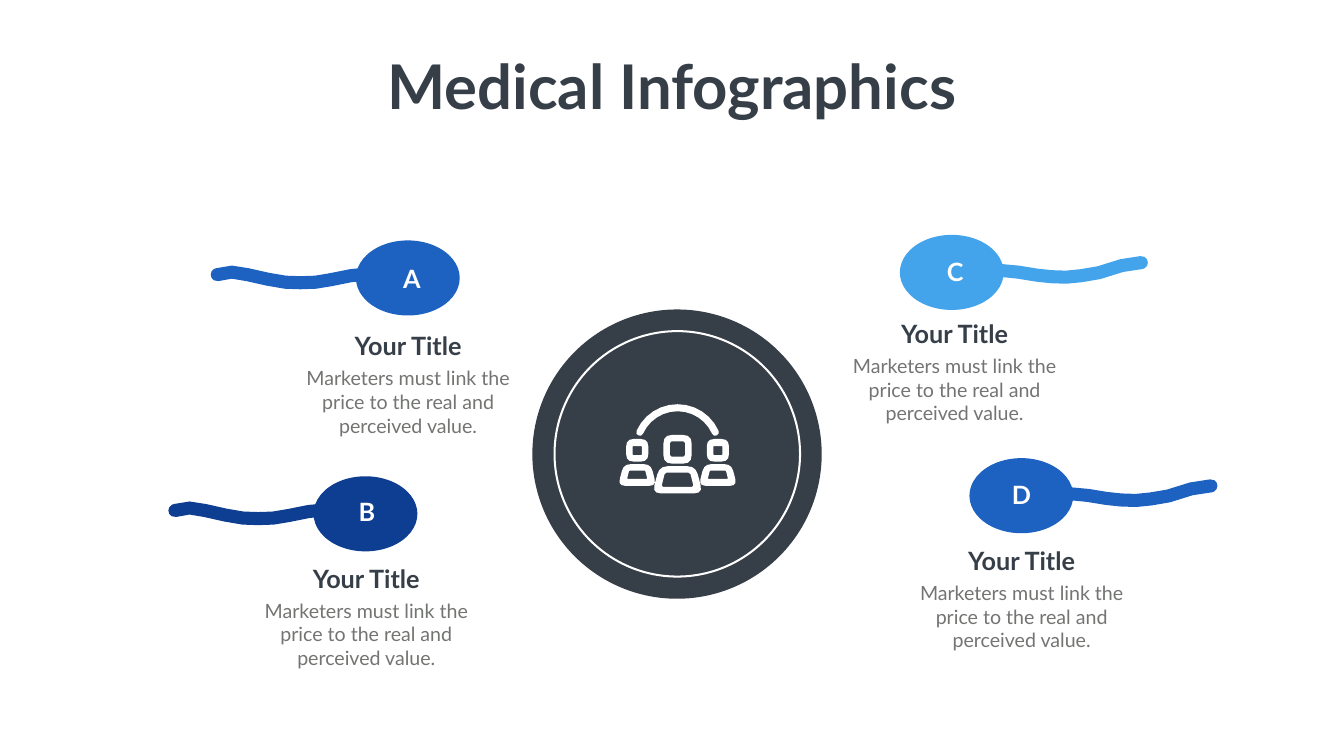
import math
from pptx import Presentation
from pptx.dml.color import RGBColor
from pptx.enum import shapes, text
from pptx.util import Inches, Pt

THEME = {
    "font": "Lato",
    "dark": "363E48", "grey": "737572", "white": "FFFFFF",
    "blue": "1D62C1", "navy": "0D3E91", "sky": "43A4EC",
    "title": 88, "heading": 36, "body": 28, "ring": 2.89,
}

TITLE = "Medical Infographics"
HEADING = "Your Title"
BODY = "Marketers must link the price to the real and perceived value."

ITEMS = [
    {"letter": "A", "color": "blue", "side": "left", "cell": (7.06, 4.77),
     "letter_at": (7.47, 5.17), "heading_at": (6.31, 6.51)},
    {"letter": "B", "color": "navy", "side": "left", "cell": (6.22, 9.45),
     "letter_at": (6.58, 9.8), "heading_at": (5.48, 11.12)},
    {"letter": "C", "color": "sky", "side": "right", "cell": (17.85, 4.66),
     "letter_at": (18.25, 5.03), "heading_at": (17.15, 6.27)},
    {"letter": "D", "color": "blue", "side": "right", "cell": (19.23, 9.09),
     "letter_at": (19.56, 9.47), "heading_at": (18.48, 10.77)},
]
CELL_SIZE = (2.06, 1.49)

TAIL_HALF = 0.13
TAILS = {
    "left": [(-2.75, 0.68), (-2.46, 0.63), (-2.15, 0.68), (-1.75, 0.77),
             (-1.4, 0.83), (-1.1, 0.84), (-0.8, 0.83), (-0.5, 0.78),
             (-0.1, 0.7), (0.3, 0.66)],
    "right": [(1.77, 0.78), (2.04, 0.71), (2.35, 0.74), (2.72, 0.8),
              (3, 0.83), (3.3, 0.84), (3.6, 0.81), (3.95, 0.75),
              (4.4, 0.61), (4.79, 0.55)],
}

ICON_X = 13.44
SIDE_OFFSET = 0.8
LEADER = [
    [(8.63, 9.2, 0.28, 0.28, 0.17), (8.76, 9.06, 0.15, 0.15, 0.03)],
    [(9.25, 9.79, 0.36, 0.5, 0.17), (9.38, 9.66, 0.25, 0.32, 0.03)],
]
MEMBER = [
    [(8.71, 9.16, 0.22, 0.22, 0.15), (8.85, 9.03, 0.09, 0.09, 0.01)],
    [(9.21, 9.64, 0.27, 0.38, 0.14), (9.34, 9.5, 0.16, 0.2, 0.01)],
]
ARCH = {"y": 8.91, "radius": 0.82, "half": 0.07, "end": 24}


def color(name):
    return RGBColor.from_string(THEME[name])


def paint(sp, fill=None, line=None):
    sp.shadow.inherit = False
    if fill:
        sp.fill.solid()
        sp.fill.fore_color.rgb = color(fill)
    else:
        sp.fill.background()
    if line:
        sp.line.color.rgb = color(line)
        sp.line.width = Pt(THEME["ring"])
    else:
        sp.line.fill.background()


def add_oval(tree, x, y, w, h, **style):
    sp = tree.add_shape(shapes.MSO_SHAPE.OVAL, *map(Inches, (x, y, w, h)))
    paint(sp, **style)


def add_outline(tree, contours, fill):
    builder = None
    for contour in contours:
        points = [(Inches(x), Inches(y)) for x, y in contour]
        if builder is None:
            builder = tree.build_freeform(*points[0])
        else:
            builder.move_to(*points[0])
        builder.add_line_segments(points[1:], close=True)
    paint(builder.convert_to_shape(), fill)


def add_text(tree, content, x, y, w, h, size, ink, bold=True, wrap=True):
    tf = tree.add_textbox(*map(Inches, (x, y, w, h))).text_frame
    tf.word_wrap = wrap
    tf.auto_size = text.MSO_AUTO_SIZE.SHAPE_TO_FIT_TEXT
    p = tf.paragraphs[0]
    p.alignment = text.PP_ALIGN.CENTER
    r = p.add_run()
    r.text = content
    r.font.name = THEME["font"]
    r.font.size = Pt(THEME[size])
    r.font.bold = bold
    r.font.color.rgb = color(ink)


def arc(cx, cy, radius, start, stop, steps):
    angles = [math.radians(start + (stop - start) * k / steps) for k in range(steps + 1)]
    return [(cx + radius * math.cos(a), cy + radius * math.sin(a)) for a in angles]


def tail_contour(side, x, y):
    spine = [(x + dx, y + dy) for dx, dy in TAILS[side]]
    upper, lower = [], []
    for i, (px, py) in enumerate(spine):
        before, after = spine[max(i - 1, 0)], spine[min(i + 1, len(spine) - 1)]
        heading = math.degrees(math.atan2(after[1] - before[1], after[0] - before[0]))
        upper += arc(px, py, TAIL_HALF, heading - 90, heading - 90, 1)[:1]
        lower += arc(px, py, TAIL_HALF, heading + 90, heading + 90, 1)[:1]
    return (upper + arc(*spine[-1], TAIL_HALF, -90, 90, 6)[1:-1]
            + lower[::-1] + arc(*spine[0], TAIL_HALF, 90, 270, 6)[1:-1])


def rounded_trapezoid(cx, top, bottom, half_top, half_bottom, cut):
    corners = [(cx - half_top, top), (cx + half_top, top),
               (cx + half_bottom, bottom), (cx - half_bottom, bottom)]
    steps = 3 if cut > 0.1 else 1

    def toward(a, b):
        t = cut / math.dist(a, b)
        return a[0] + t * (b[0] - a[0]), a[1] + t * (b[1] - a[1])

    contour = []
    for i, corner in enumerate(corners):
        start, stop = toward(corner, corners[i - 1]), toward(corner, corners[(i + 1) % 4])
        for t in (k / steps for k in range(steps + 1)):
            contour.append(tuple((1 - t)**2 * a + 2 * t * (1 - t) * b + t**2 * c
                                 for a, b, c in zip(start, corner, stop)))
    return contour


def arch_contour():
    y, radius, half = ARCH["y"], ARCH["radius"], ARCH["half"]
    start, stop = 180 + ARCH["end"], 360 - ARCH["end"]
    left, *_, right = arc(ICON_X, y, radius, start, stop, 2)
    return (arc(ICON_X, y, radius + half, start, stop, 12)
            + arc(*right, half, stop, stop + 180, 4)[1:-1]
            + arc(ICON_X, y, radius - half, stop, start, 12)
            + arc(*left, half, start + 180, start + 360, 4)[1:-1])


def add_team_icon(tree):
    people = [(0, LEADER), (-SIDE_OFFSET, MEMBER), (SIDE_OFFSET, MEMBER)]
    for offset, person in people:
        contours = [rounded_trapezoid(ICON_X + offset, *edge)
                    for part in person for edge in part]
        add_outline(tree, contours, "white")
    add_outline(tree, [arch_contour()], "white")


def main():
    prs = Presentation()
    prs.slide_width, prs.slide_height = Inches(26.66), Inches(15)
    s = prs.slides.add_slide(prs.slide_layouts[6])
    tree = s.shapes

    add_text(tree, TITLE, 7.45, 0.91, 11.75, 1.58, "title", "dark", wrap=False)
    add_oval(tree, 10.56, 6.14, 5.74, 5.74, fill="dark")
    add_oval(tree, 11, 6.57, 4.87, 4.87, line="white")
    add_team_icon(tree)

    for item in ITEMS:
        add_oval(tree, *item["cell"], *CELL_SIZE, fill=item["color"])
        add_outline(tree, [tail_contour(item["side"], *item["cell"])], item["color"])
        add_text(tree, item["letter"], *item["letter_at"], 1.4, 0.71, "heading", "white")
        x, y = item["heading_at"]
        add_text(tree, BODY, x - 0.54, y + 0.71, 4.65, 1.51, "body", "grey", bold=False)
        add_text(tree, HEADING, x, y, 3.57, 0.71, "heading", "dark")

    prs.save("out.pptx")


if __name__ == "__main__":
    main()
